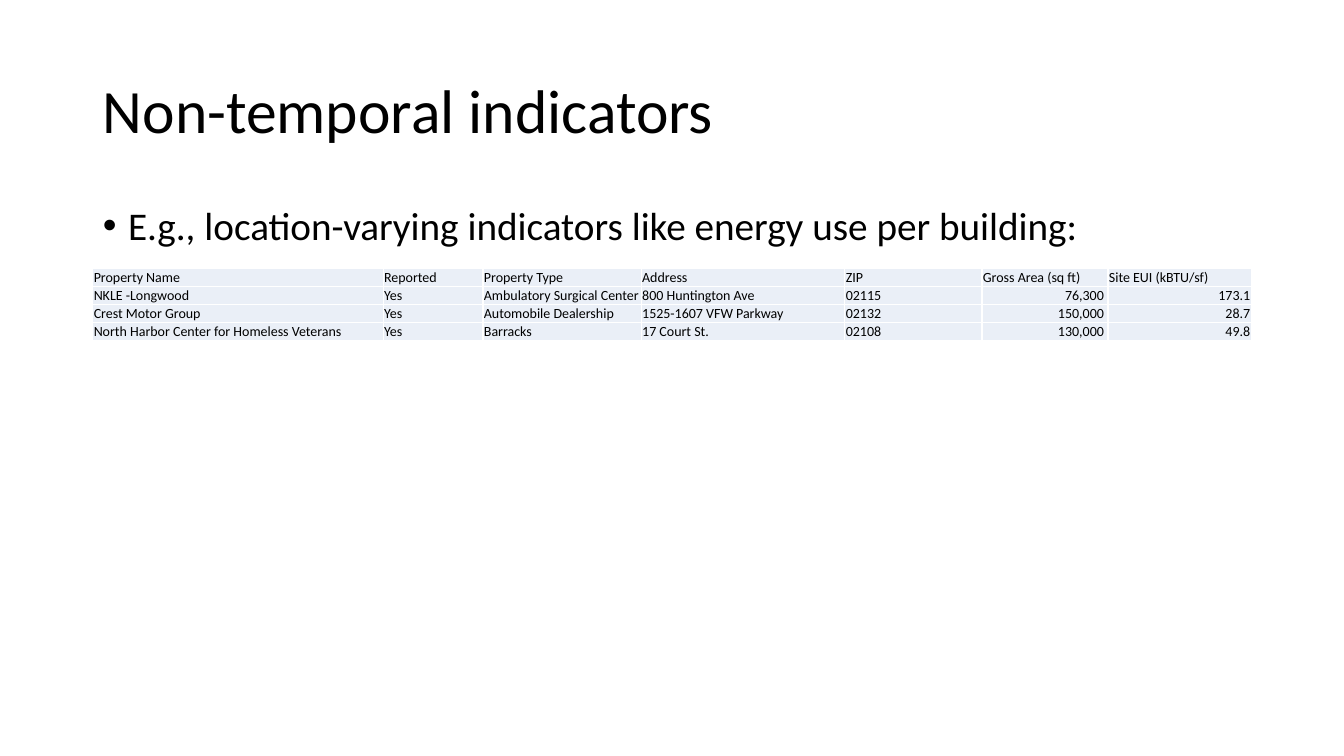
from lxml.etree import SubElement
from pptx import Presentation
from pptx.dml.color import RGBColor
from pptx.enum.text import MSO_ANCHOR, MSO_AUTO_SIZE, PP_ALIGN
from pptx.oxml import parse_xml
from pptx.oxml.ns import nsdecls, qn
from pptx.util import Inches, Pt

BORDER_SIDES = ("lnL", "lnR", "lnT", "lnB")
COLUMN_WIDTHS = (2.88, 0.99, 1.57, 2.02, 1.36, 1.25, 1.42)
ROW_HEIGHT = 0.18
FIRST_NUMBER_COLUMN = 5
BUILDINGS = (
    ("Property Name", "Reported", "Property Type", "Address", "ZIP",
     "Gross Area (sq ft)", "Site EUI (kBTU/sf)"),
    ("NKLE -Longwood", "Yes", "Ambulatory Surgical Center",
     "800 Huntington Ave", "02115", " 76,300 ", "173.1"),
    ("Crest Motor Group", "Yes", "Automobile Dealership",
     "1525-1607 VFW Parkway", "02132", " 150,000 ", "28.7"),
    ("North Harbor Center for Homeless Veterans", "Yes", "Barracks",
     "17 Court St.", "02108", " 130,000 ", "49.8"),
)


def color(hex_value):
    return RGBColor.from_string(hex_value)


def write(text_frame, text, size, alignment=PP_ALIGN.LEFT):
    """Fill the first paragraph with one formatted run and return it."""
    paragraph = text_frame.paragraphs[0]
    paragraph.alignment = alignment
    run = paragraph.add_run()
    run.text = text
    run.font.name = "Calibri"
    run.font.size = Pt(size)
    run.font.color.rgb = color("000000")
    return paragraph


presentation = Presentation()
presentation.slide_width = Inches(13.33)
presentation.slide_height = Inches(7.5)
slide = presentation.slides.add_slide(
    presentation.slide_layouts.get_by_name("Title and Content"))

# Title and bullet
title = slide.shapes.title
body = slide.placeholders[1]
for placeholder, text, top, height, size, anchor in (
    (title, "Non-temporal indicators", 0.4, 1.45, 44, MSO_ANCHOR.MIDDLE),
    (body, "E.g., location-varying indicators like energy use per building:",
     2, 4.76, 28, MSO_ANCHOR.TOP),
):
    placeholder.left, placeholder.top = Inches(0.92), Inches(top)
    placeholder.width, placeholder.height = Inches(11.5), Inches(height)
    placeholder.text_frame.auto_size = MSO_AUTO_SIZE.NONE
    placeholder.text_frame.vertical_anchor = anchor
    paragraph = write(placeholder.text_frame, text, size)
    paragraph.line_spacing = 0.9

bullet = body.text_frame.paragraphs[0]
bullet.space_before = Pt(10)
bullet_properties = bullet._p.get_or_add_pPr()
bullet_properties.set("marL", str(Inches(0.25)))
bullet_properties.set("indent", str(Inches(-0.25)))
SubElement(bullet_properties, qn("a:buFont"), typeface="Arial")
SubElement(bullet_properties, qn("a:buChar"), char="•")

# Building table
table = slide.shapes.add_table(
    len(BUILDINGS), len(COLUMN_WIDTHS), Inches(0.92), Inches(2.66),
    Inches(sum(COLUMN_WIDTHS)), Inches(ROW_HEIGHT * len(BUILDINGS))).table
table.first_row = False
table.horz_banding = False
for column, width in zip(table.columns, COLUMN_WIDTHS):
    column.width = Inches(width)

cell_format = {
    "margin_left": Inches(0.01),
    "margin_right": Inches(0.01),
    "margin_top": Inches(0.01),
    "margin_bottom": 0,
    "vertical_anchor": MSO_ANCHOR.BOTTOM,
}
for row_index, building in enumerate(BUILDINGS):
    table.rows[row_index].height = Inches(ROW_HEIGHT)
    for column_index, text in enumerate(building):
        cell = table.cell(row_index, column_index)
        for name, value in cell_format.items():
            setattr(cell, name, value)
        is_number = row_index > 0 and column_index >= FIRST_NUMBER_COLUMN
        write(cell.text_frame, text, 10,
              PP_ALIGN.RIGHT if is_number else PP_ALIGN.LEFT)
        cell.fill.solid()
        cell.fill.fore_color.rgb = color("EAEFF7")
        cell_properties = cell._tc.get_or_add_tcPr()
        for position, side in enumerate(BORDER_SIDES):
            cell_properties.insert(position, parse_xml(
                f'<a:{side} {nsdecls("a")} w="{Pt(1)}"><a:solidFill>'
                f'<a:srgbClr val="FFFFFF"/></a:solidFill></a:{side}>'))

presentation.save("out.pptx")
